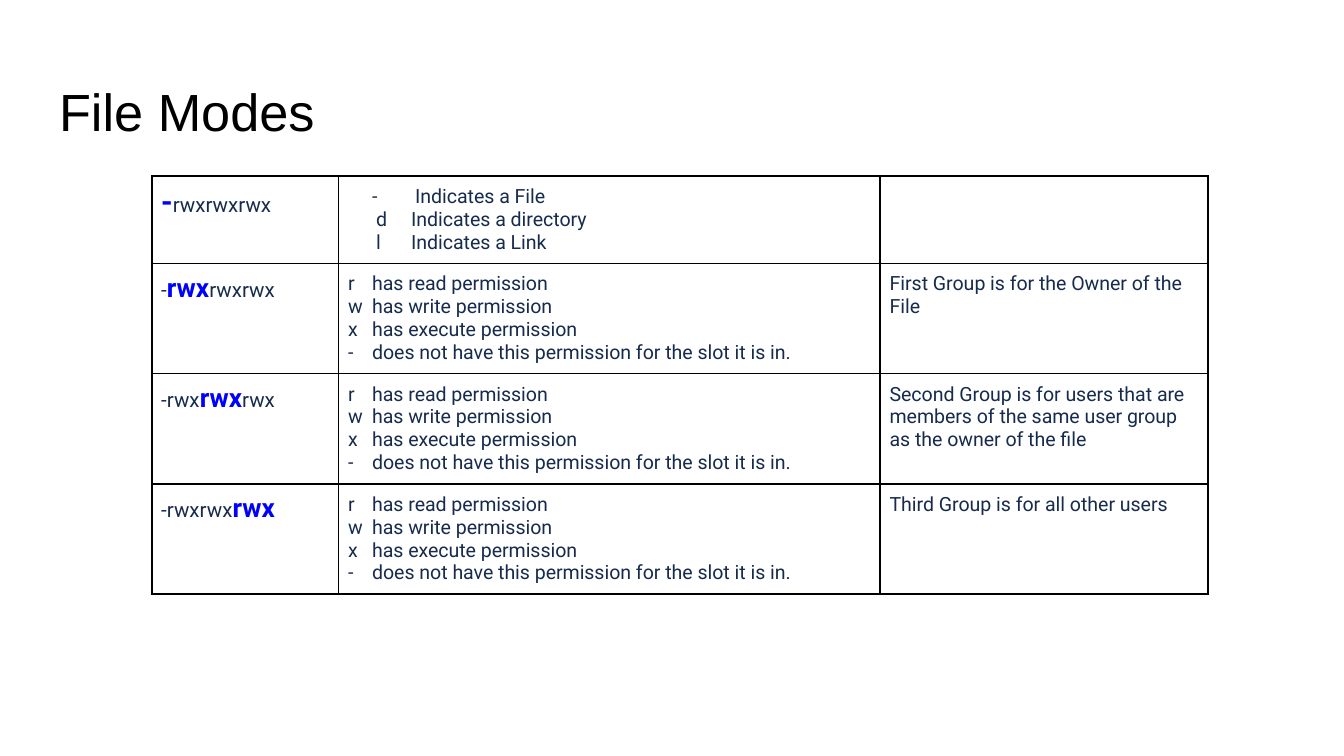
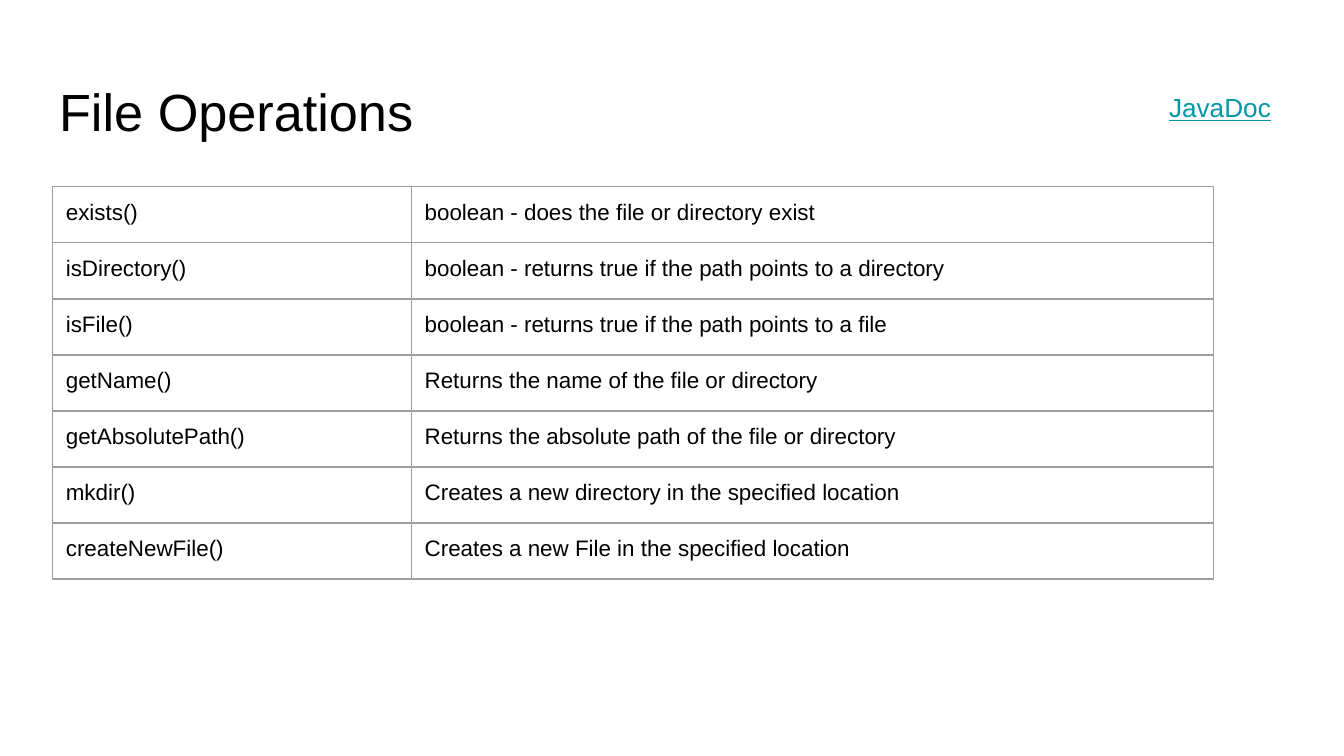
from lxml import etree
from pptx import Presentation
from pptx.dml.color import RGBColor
from pptx.enum.text import MSO_ANCHOR, PP_ALIGN
from pptx.oxml.ns import qn
from pptx.util import Inches, Pt

TOP = MSO_ANCHOR.TOP
LEFT = PP_ALIGN.LEFT

BLACK = "000000"
NAVY = "172B4D"
BLUE = "0000FF"
TEAL = "0097A7"
GRAY = "9E9E9E"
TITLE_AREA = (0.34, 0.49, 9.32, 0.63)

FILE_TYPES = [("d", "Indicates a directory"), ("l", "Indicates a Link")]
PERMISSIONS = [
    ("r", "has read permission"),
    ("w", "has write permission"),
    ("x", "has execute permission"),
    ("-", "does not have this permission for the slot it is in."),
]
GROUPS = [
    "First Group is for the Owner of the File",
    "Second Group is for users that are members of the same user group "
    "as the owner of the file",
    "Third Group is for all other users",
]
OPERATIONS = [
    ("exists()", "boolean - does the file or directory exist"),
    ("isDirectory()", "boolean - returns true if the path points to a directory"),
    ("isFile()", "boolean - returns true if the path points to a file"),
    ("getName()", "Returns the name of the file or directory"),
    ("getAbsolutePath()", "Returns the absolute path of the file or directory"),
    ("mkdir()", "Creates a new directory in the specified location"),
    ("createNewFile()", "Creates a new File in the specified location"),
]


def color(value):
    return RGBColor.from_string(value)


def write(para, text, size=12, font="Arial", fill=BLACK, bold=False, underline=False):
    span = para.add_run()
    span.text = text
    span.font.size = Pt(size)
    span.font.name = font
    span.font.color.rgb = color(fill)
    span.font.bold = bold
    span.font.underline = underline


def write_note(para, text):
    write(para, text, size=10.5, font="Roboto", fill=NAVY)


def next_paragraph(frame):
    """Return the first paragraph while it is empty, then a new one each time."""
    first = frame.paragraphs[0]
    return frame.add_paragraph() if first.runs else first


def add_bullet(para, mark, fill, margin, indent):
    properties = para._p.get_or_add_pPr()
    properties.set("marL", str(Inches(margin)))
    properties.set("indent", str(Inches(indent)))
    bullet_color = etree.SubElement(properties, qn("a:buClr"))
    etree.SubElement(bullet_color, qn("a:srgbClr"), val=fill)
    etree.SubElement(properties, qn("a:buFont"), typeface="Roboto")
    etree.SubElement(properties, qn("a:buChar"), char=mark)


def write_definitions(frame, definitions, indent, tab):
    """Write one line per mark, with its meaning at a tab stop."""
    for mark, meaning in definitions:
        para = next_paragraph(frame)
        properties = para._p.get_or_add_pPr()
        properties.set("marL", "0")
        properties.set("indent", str(Inches(indent)))
        properties.set("defTabSz", str(Inches(tab)))
        stops = etree.SubElement(properties, qn("a:tabLst"))
        etree.SubElement(stops, qn("a:tab"), pos=str(Inches(tab)), algn="l")
        write_note(para, f"{mark}\t{meaning}")


def write_mode(frame, before, marked, after, size):
    """Write a mode string with one part standing out."""
    para = frame.paragraphs[0]
    for text, style in (
        (before, {"size": 11, "fill": NAVY}),
        (marked, {"size": size, "fill": BLUE, "bold": True}),
        (after, {"size": 11, "fill": NAVY}),
    ):
        if text:
            write(para, text, font="Roboto", **style)


def set_margins(target, inset):
    target.margin_left = target.margin_right = Inches(inset)
    target.margin_top = target.margin_bottom = Inches(inset)


def set_borders(cell, fill, width):
    properties = cell._tc.get_or_add_tcPr()
    for position, side in enumerate(("lnL", "lnR", "lnT", "lnB")):
        line = etree.Element(qn(f"a:{side}"), w=str(Pt(width)))
        solid = etree.SubElement(line, qn("a:solidFill"))
        etree.SubElement(solid, qn("a:srgbClr"), val=fill)
        properties.insert(position, line)


class Deck:
    def __init__(self):
        self.file = Presentation()
        self.file.slide_width = Inches(10)
        self.file.slide_height = Inches(10) * 9 // 16
        self.page = None

    def add_page(self, title):
        self.page = self.file.slides.add_slide(self.file.slide_layouts[5])
        self.page.background.fill.solid()
        self.page.background.fill.fore_color.rgb = color("FFFFFF")
        box = self.page.shapes.title
        box.left, box.top, box.width, box.height = map(Inches, TITLE_AREA)
        self.fill_frame(box.text_frame, title, size=28)

    def fill_frame(self, frame, text, **style):
        set_margins(frame, 0.1)
        frame.word_wrap = True
        frame.vertical_anchor = TOP
        para = frame.paragraphs[0]
        para.alignment = LEFT
        write(para, text, **style)

    def add_text(self, text, left, top, width, height, **style):
        box = self.page.shapes.add_textbox(*map(Inches, (left, top, width, height)))
        self.fill_frame(box.text_frame, text, **style)

    def add_table(self, left, top, widths, heights, inset, border, line_width):
        table = self.page.shapes.add_table(
            len(heights), len(widths), Inches(left), Inches(top),
            Inches(sum(widths)), Inches(sum(heights)),
        ).table
        table.first_row = table.horz_banding = False
        for column, width in zip(table.columns, widths):
            column.width = Inches(width)
        for row, height in zip(table.rows, heights):
            row.height = Inches(height)
        for cell in table.iter_cells():
            set_margins(cell, inset)
            cell.vertical_anchor = TOP
            cell.fill.background()
            set_borders(cell, border, line_width)
        return table


def build_file_modes(deck):
    deck.add_page("File Modes")
    table = deck.add_table(
        1.13, 1.31, [1.39, 4.03, 2.44], [0.65] + [0.82] * 3, 0.07, BLACK, 1
    )
    write_mode(table.cell(0, 0).text_frame, "", "-", "rwx" * 3, size=16)
    types = table.cell(0, 1).text_frame
    para = types.paragraphs[0]
    add_bullet(para, "-", NAVY, margin=0.5, indent=-0.32)
    write_note(para, "Indicates a File")
    write_definitions(types, FILE_TYPES, indent=0.21, tab=0.47)

    for index, group in enumerate(GROUPS):
        mode, meaning, owner = (
            table.cell(index + 1, column).text_frame for column in range(3)
        )
        write_mode(mode, "-" + "rwx" * index, "rwx", "rwx" * (2 - index), size=14)
        write_definitions(meaning, PERMISSIONS, indent=0, tab=0.18)
        write_note(owner.paragraphs[0], group)


def build_file_operations(deck):
    deck.add_page("File Operations")
    deck.add_text("JavaDoc", 8.6, 0.58, 0.96, 0.44, size=14, fill=TEAL, underline=True)
    count = len(OPERATIONS)
    table = deck.add_table(
        0.39, 1.39, [2.67, 5.97], [2.92 / count] * count, 0.1, GRAY, 0.75
    )
    for row, operation in enumerate(OPERATIONS):
        for column, text in enumerate(operation):
            write(table.cell(row, column).text_frame.paragraphs[0], text)


def main():
    deck = Deck()
    build_file_modes(deck)
    build_file_operations(deck)
    deck.file.save("out.pptx")


if __name__ == "__main__":
    main()
